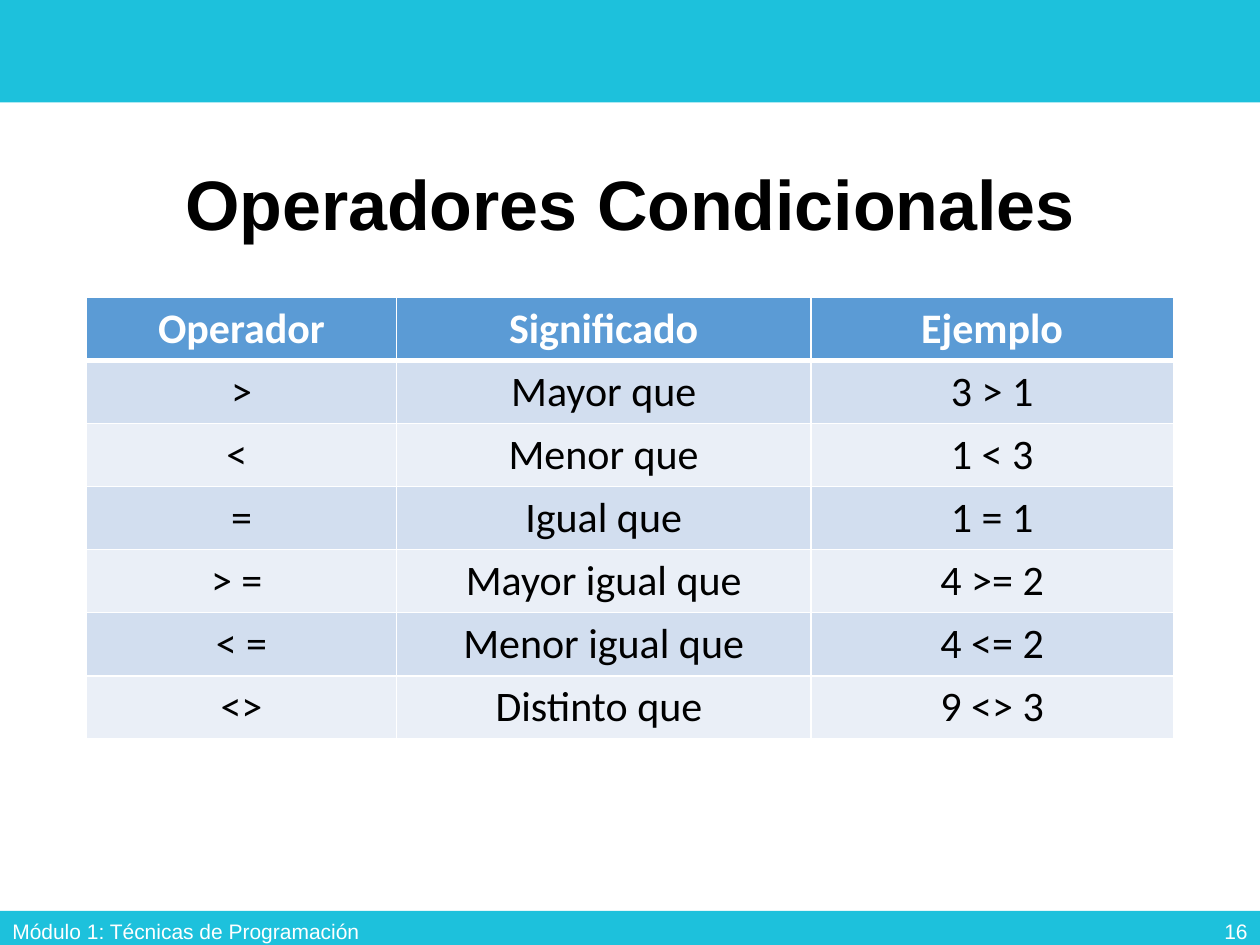
from lxml import etree
from pptx import Presentation
from pptx.dml.color import RGBColor
from pptx.enum.shapes import MSO_SHAPE
from pptx.enum.text import MSO_ANCHOR, PP_ALIGN
from pptx.oxml.ns import qn
from pptx.util import Pt

RECTANGLE = MSO_SHAPE.RECTANGLE
MIDDLE = MSO_ANCHOR.MIDDLE
LEFT, CENTER, RIGHT = PP_ALIGN.LEFT, PP_ALIGN.CENTER, PP_ALIGN.RIGHT

PAGE_WIDTH, PAGE_HEIGHT = 720, 540
COLORS = {
    "band": "1DC1DC",
    "header": "5B9BD5",
    "odd_row": "D2DEEF",
    "even_row": "EAEFF7",
    "white": "FFFFFF",
    "black": "000000",
}
OPERATORS = [
    ("Operador", "Significado", "Ejemplo"),
    (">", "Mayor que", "3 > 1"),
    ("< ", "Menor que", "1 < 3"),
    ("=", "Igual que", "1 = 1"),
    ("> = ", "Mayor igual que", "4 >= 2"),
    ("< =", "Menor igual que", "4 <= 2"),
    ("<>", "Distinto que ", "9 <> 3"),
]


class SlideBuilder:
    """Holds the colours, the fonts and the slide being drawn."""

    heading_font = "Arial"
    table_font = "Calibri"

    def __init__(self, page):
        self.page = page

    def color(self, name):
        return RGBColor.from_string(COLORS[name])

    def style(self, para, font, size, color, align, bold=False):
        para.alignment = align
        for span in para.runs:
            span.font.name = font
            span.font.size = Pt(size)
            span.font.bold = bold
            span.font.color.rgb = self.color(color)

    def band(self, top, height):
        shape = self.page.shapes.add_shape(
            RECTANGLE, Pt(0), Pt(top), Pt(PAGE_WIDTH), Pt(height))
        shape.shadow.inherit = False
        shape.fill.solid()
        shape.fill.fore_color.rgb = self.color("band")
        shape.line.fill.background()

    def text(self, words, left, top, width, height, size, color, align,
             bold=False, line_spacing=1.0):
        box = self.page.shapes.add_textbox(
            Pt(left), Pt(top), Pt(width), Pt(height))
        frame = box.text_frame
        frame.word_wrap = True
        frame.vertical_anchor = MIDDLE
        frame.text = words
        para = frame.paragraphs[0]
        para.line_spacing = line_spacing
        self.style(para, self.heading_font, size, color, align, bold)

    def borders(self, cell, top, bottom):
        """Draw white cell edges; the side edges are 1 pt wide."""
        properties = cell._tc.get_or_add_tcPr()
        widths = {"a:lnL": 1, "a:lnR": 1, "a:lnT": top, "a:lnB": bottom}
        for index, (tag, width) in enumerate(widths.items()):
            line = etree.Element(qn(tag), w=str(Pt(width)))
            fill = etree.SubElement(line, qn("a:solidFill"))
            etree.SubElement(fill, qn("a:srgbClr"), val=COLORS["white"])
            properties.insert(index, line)

    def table(self, rows, left, top, column_widths, row_height, size):
        """Draw a table with a header row and alternating body rows."""
        table = self.page.shapes.add_table(
            len(rows), len(column_widths), Pt(left), Pt(top),
            Pt(sum(column_widths)), Pt(row_height * len(rows))).table
        for column, width in zip(table.columns, column_widths):
            column.width = Pt(width)
        for row_index, row in enumerate(rows):
            is_header = row_index == 0
            body_fill = "odd_row" if row_index % 2 else "even_row"
            for column_index, words in enumerate(row):
                cell = table.cell(row_index, column_index)
                cell.text_frame.text = words
                cell.fill.solid()
                cell.fill.fore_color.rgb = self.color(
                    "header" if is_header else body_fill)
                self.borders(cell, top=3 if row_index == 1 else 1,
                             bottom=3 if is_header else 1)
                self.style(cell.text_frame.paragraphs[0], self.table_font,
                           size, "white" if is_header else "black",
                           CENTER, is_header)


def main():
    deck = Presentation()
    deck.slide_width, deck.slide_height = Pt(PAGE_WIDTH), Pt(PAGE_HEIGHT)
    builder = SlideBuilder(deck.slides.add_slide(deck.slide_layouts[6]))

    builder.band(0, 58.5)
    builder.band(520.5, 22.5)
    builder.text("Operadores Condicionales", 49.5, 70.5, 621, 96,
                 40, "black", CENTER, bold=True, line_spacing=0.9)
    builder.text("Módulo 1: Técnicas de Programación", 0, 517.5, 243.5, 29,
                 12, "white", LEFT)
    builder.text("16", 558, 517.5, 162, 29, 12, "white", RIGHT)
    builder.table(OPERATORS, 49.5, 170, (177, 237, 207), 36, 24)

    deck.save("out.pptx")


if __name__ == "__main__":
    main()
